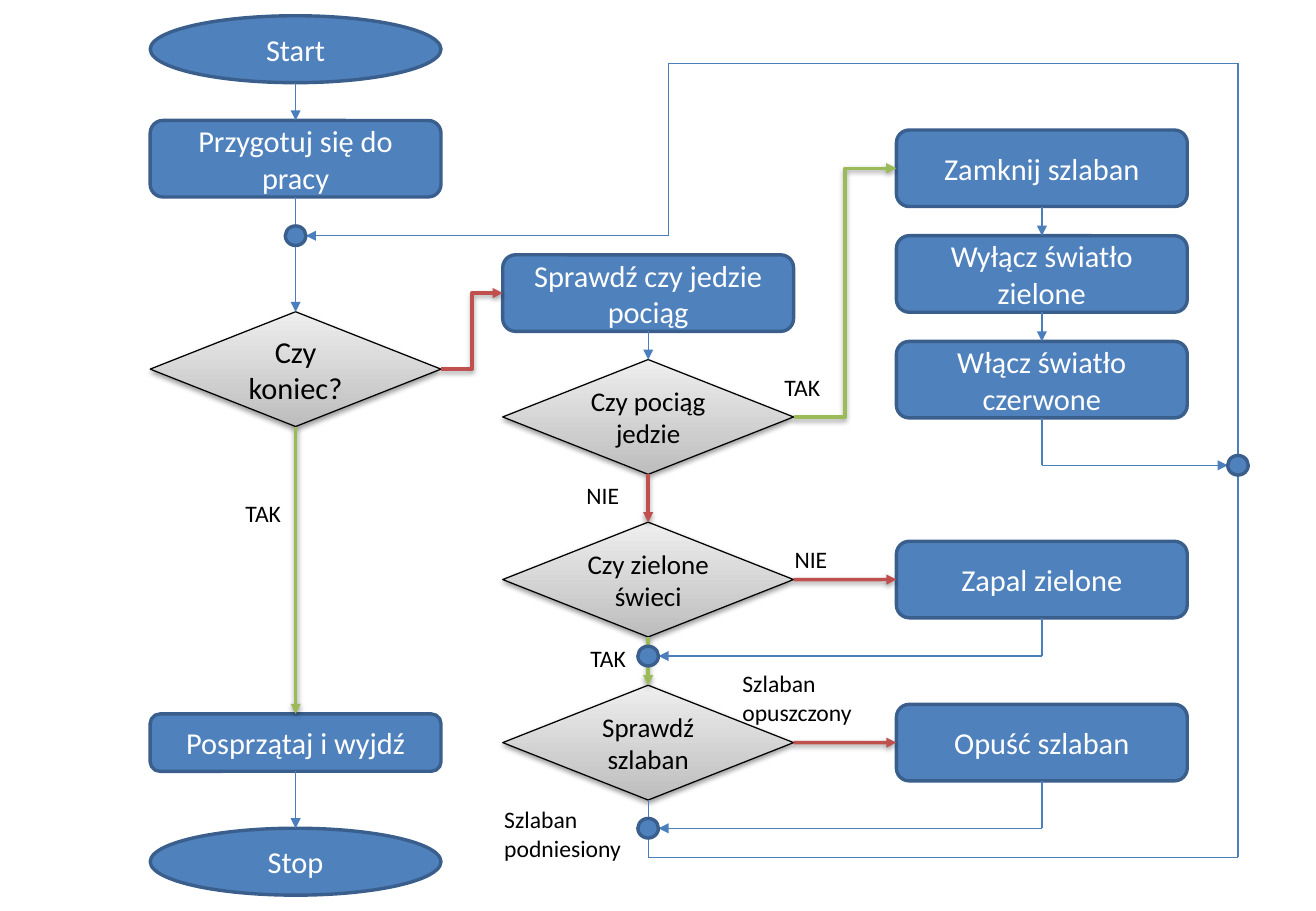
from lxml import etree
from pptx import Presentation
from pptx import util as u
from pptx.dml.color import RGBColor
from pptx.enum import shapes, text
from pptx.oxml.ns import qn

THEME = dict(
    font="Calibri", big=18, mid=16, small=14,
    blue="4F81BD", edge="3A5F8C", white="FFFFFF", black="000000",
    dark="BDBDBD", light="EEEEEE",
    step=("4B7EBC", 0.75), yes=("9BBB59", 2), no=("C0504D", 2),
)

# All lengths are in cm
COLS = dict(main=6.18, check=13.55, act=21.78, loop=25.88)
WIDE = 6.08
HIGH = dict(oval=1.4, box=1.6, low=1.2, test=2.4)
DOT = (0.43, 0.41)

# name: (kind, column, centre height, words, type size)
NODES = dict(
    start=("oval", "main", 1.03, "Start", "big"),
    prep=("box", "main", 3.32, "Przygotuj się do pracy", "big"),
    done=("test", "main", 7.72, "Czy koniec?", "big"),
    clean=("low", "main", 15.53, "Posprzątaj i wyjdź", "big"),
    stop=("oval", "main", 18.02, "Stop", "big"),
    look=("box", "check", 6.13, "Sprawdź czy jedzie pociąg", "big"),
    train=("test", "check", 8.72, "Czy pociąg jedzie", "mid"),
    green=("test", "check", 12.12, "Czy zielone świeci", "mid"),
    gate=("test", "check", 15.53, "Sprawdź szlaban", "mid"),
    close=("box", "act", 3.52, "Zamknij szlaban", "big"),
    dim=("box", "act", 5.73, "Wyłącz światło zielone", "big"),
    red=("box", "act", 7.94, "Włącz światło czerwone", "big"),
    lamp=("box", "act", 12.12, "Zapal zielone", "big"),
    drop=("box", "act", 15.53, "Opuść szlaban", "big"),
)
# joint: (column, centre height)
DOTS = dict(again=("main", 4.93), lit=("check", 13.72),
            down=("check", 17.32), back=("loop", 9.73))
FLOWS = [
    ("start", "prep", "step"), ("prep", "done", "step"),
    ("done", "clean", "yes"), ("clean", "stop", "step"),
    ("look", "train", "step"), ("train", "green", "no"),
    ("green", "gate", "yes"), ("close", "dim", "step"),
    ("dim", "red", "step"),
]
BRANCHES = [("done", "look", "no"), ("train", "close", "yes"),
            ("green", "lamp", "no"), ("gate", "drop", "no")]
RETURNS = [("red", "back"), ("lamp", "lit"), ("drop", "down")]
LOOP = dict(low=17.93, top=1.32, turn=13.97)
# (words, left, top, width)
LABELS = [
    ("TAK", 4.88, 10.31, 1.65), ("TAK", 16.15, 7.67, 1.65),
    ("NIE", 12.01, 9.93, 1.65), ("NIE", 16.36, 11.28, 1.65),
    ("TAK", 12.09, 13.34, 1.65),
    ("Szlaban opuszczony", 15.27, 13.87, 4.34),
    ("Szlaban podniesiony", 10.29, 16.71, 4.34),
]

FORMS = dict(oval=shapes.MSO_SHAPE.OVAL, test=shapes.MSO_SHAPE.DIAMOND,
             box=shapes.MSO_SHAPE.ROUNDED_RECTANGLE,
             low=shapes.MSO_SHAPE.ROUNDED_RECTANGLE)
SITES = dict(top=0, left=1, bottom=2, right=3)

deck = Presentation()
deck.slide_width, deck.slide_height = u.Cm(27.51), u.Cm(19.05)
slide = deck.slides.add_slide(deck.slide_layouts[6])


def rgb(name):
    """Return the colour for a theme name or a hex value."""
    return RGBColor.from_string(THEME.get(name, name))


def write(shape, words, size="big", color="black", align="LEFT", anchor="TOP"):
    """Put formatted text into a shape."""
    frame = shape.text_frame
    frame.word_wrap = True
    frame.vertical_anchor = getattr(text.MSO_ANCHOR, anchor)
    para = frame.paragraphs[0]
    para.alignment = getattr(text.PP_ALIGN, align)
    run = para.add_run()
    run.text = words
    run.font.name, run.font.size = THEME["font"], u.Pt(THEME[size])
    run.font.color.rgb = rgb(color)


def shade(shape, soft):
    """Give a shape a soft shadow, or an empty effect list."""
    props = shape._element.spPr
    effects = etree.SubElement(props, qn("a:effectLst"))
    if soft:
        drop = etree.SubElement(effects, qn("a:outerShdw"), blurRad="40000",
                                dist="20000", dir="5400000", rotWithShape="0")
        color = etree.SubElement(drop, qn("a:srgbClr"), val=THEME["black"])
        etree.SubElement(color, qn("a:alpha"), val="38000")


def block(form, x, y, wide, high, test=False):
    """Draw a filled shape around its centre."""
    shape = slide.shapes.add_shape(form, u.Cm(x - wide / 2), u.Cm(y - high / 2),
                                   u.Cm(wide), u.Cm(high))
    if test:
        shape.fill.gradient()
        shape.fill.gradient_angle = 90
        for stop, name in zip(shape.fill.gradient_stops, ("dark", "light")):
            stop.color.rgb = rgb(name)
    else:
        shape.fill.solid()
        shape.fill.fore_color.rgb = rgb("blue")
    shape.line.color.rgb = rgb("black" if test else "edge")
    shape.line.width = u.Pt(0.75 if test else 2)
    shade(shape, test)
    return shape


def spot(name, side):
    """Return the middle of one side of a node or joint, in cm."""
    if name in DOTS:
        (col, y), (wide, high) = DOTS[name], DOT
    else:
        kind, col, y = NODES[name][:3]
        wide, high = WIDE, HIGH[kind]
    dx, dy = dict(top=(0, -1), bottom=(0, 1), left=(-1, 0), right=(1, 0))[side]
    return COLS[col] + dx * wide / 2, y + dy * high / 2


def line(start, end, style="step", arrow=True, bent=False):
    """Draw one connector between two points."""
    kind = shapes.MSO_CONNECTOR.ELBOW if bent else shapes.MSO_CONNECTOR.STRAIGHT
    link = slide.shapes.add_connector(kind, *map(u.Cm, start + end))
    color, width = THEME[style]
    link.line.color.rgb, link.line.width = rgb(color), u.Pt(width)
    if arrow:
        etree.SubElement(link.line._get_or_add_ln(), qn("a:tailEnd"),
                         type="triangle")
    shade(link, style != "step")
    return link


def join(one, two, style, out, into):
    """Link two nodes and glue the ends that meet a box or a test."""
    start, end = spot(one, out), spot(two, into)
    bent = out == "right" and start[1] - end[1] > 0.1
    link = line(start, end, style, bent=bent)
    if NODES[one][0] != "oval":
        link.begin_connect(blocks[one], SITES[out])
    if NODES[two][0] != "oval":
        link.end_connect(blocks[two], SITES[into])


def route(points):
    """Draw a chain of straight lines with an arrow at its end."""
    for i, (start, end) in enumerate(zip(points, points[1:]), 2):
        line(start, end, arrow=i == len(points))


blocks = {}
for name, (kind, col, y, words, size) in NODES.items():
    test = kind == "test"
    blocks[name] = block(FORMS[kind], COLS[col], y, WIDE, HIGH[kind], test)
    write(blocks[name], words, size=size, color="black" if test else "white",
          align="CENTER", anchor="MIDDLE")

for one, two, style in FLOWS:
    join(one, two, style, "bottom", "top")
for one, two, style in BRANCHES:
    join(one, two, style, "right", "left")

for name, dot in RETURNS:
    start = spot(name, "bottom")
    end = spot(dot, "left" if dot == "back" else "right")
    route([start, (start[0], end[1]), end])

leave, enter = spot("gate", "bottom"), spot("again", "right")
route([leave, (leave[0], LOOP["low"]), (COLS["loop"], LOOP["low"]),
       (COLS["loop"], LOOP["top"]), (LOOP["turn"], LOOP["top"]),
       (LOOP["turn"], enter[1]), enter])

for col, y in DOTS.values():
    block(FORMS["oval"], COLS[col], y, *DOT)

for words, left, top, wide in LABELS:
    high = 1.45 if " " in words else 0.86
    label = slide.shapes.add_textbox(*map(u.Cm, (left, top, wide, high)))
    write(label, words, size="small")

deck.save("out.pptx")
